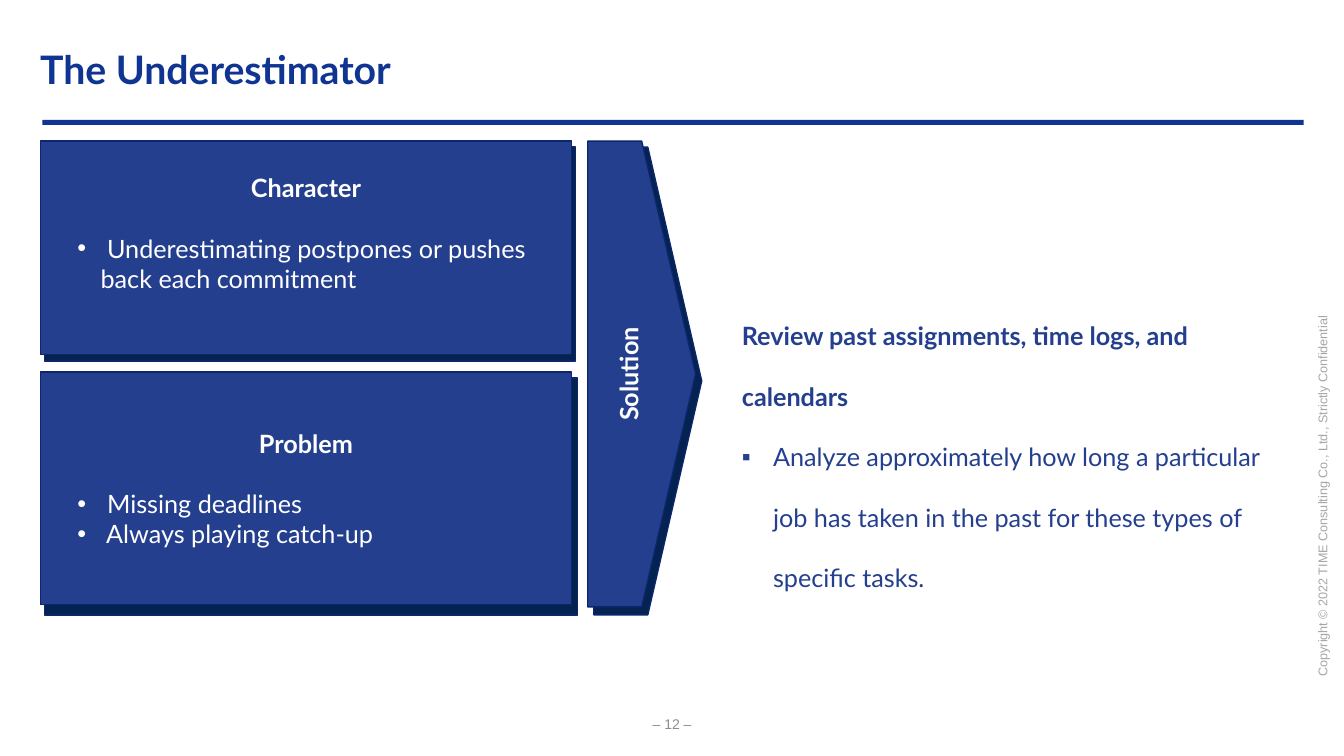
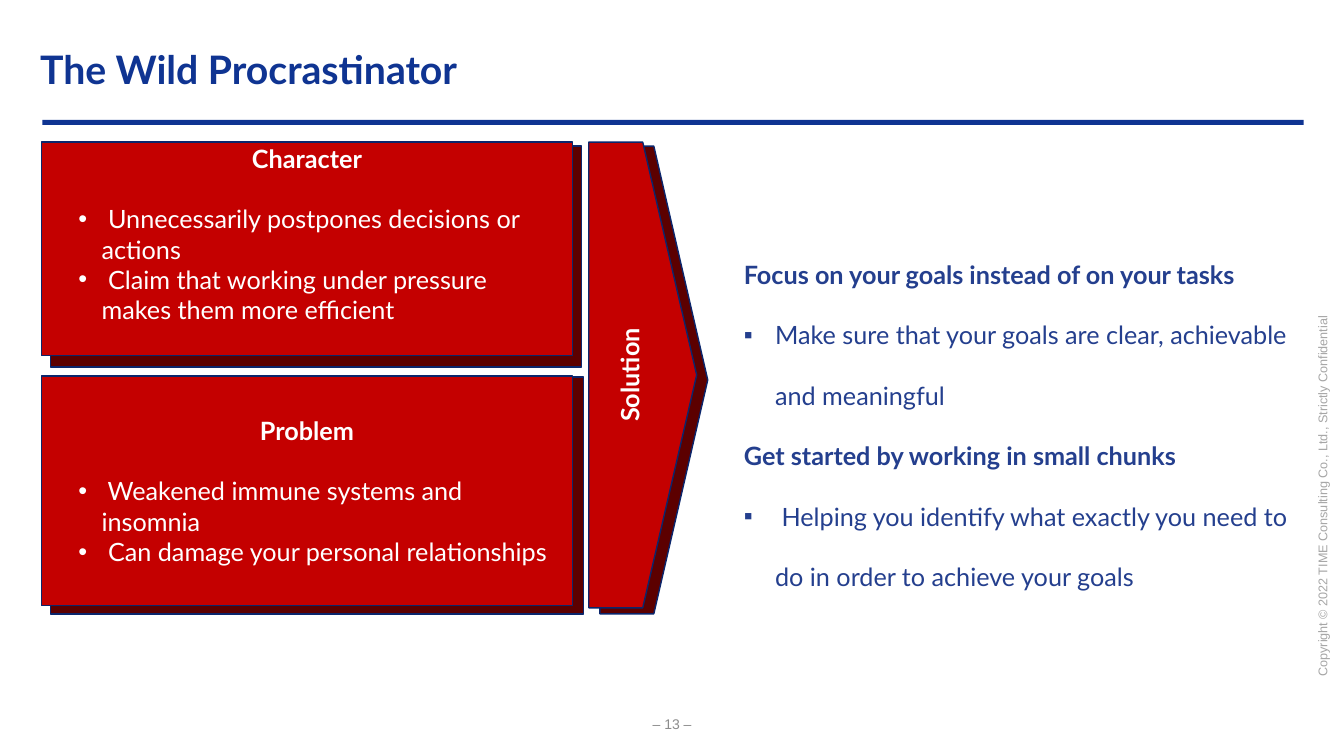
from dataclasses import dataclass

from lxml.etree import SubElement
from pptx import Presentation
from pptx.dml.color import RGBColor
from pptx.enum.shapes import MSO_SHAPE as Preset
from pptx.enum.text import MSO_ANCHOR as Anchor, MSO_AUTO_SIZE as AutoSize, PP_ALIGN as Align
from pptx.oxml.ns import qn
from pptx.util import Inches, Pt

CELL = 0.1  # inches per grid column and row
WHITE = RGBColor(0xFF, 0xFF, 0xFF)
ROYAL = RGBColor(0x0F, 0x34, 0x92)
BLUE = RGBColor(0x24, 0x3F, 0x8E)
NAVY = RGBColor(0x04, 0x23, 0x50)
OUTLINE = RGBColor(0x0B, 0x26, 0x6C)
RED = RGBColor(0xC4, 0x00, 0x00)
MAROON = RGBColor(0x5C, 0x00, 0x00)
PAGE_GREY = RGBColor(0x8C, 0x8C, 0x8C)
COPYRIGHT_GREY = RGBColor(0xA6, 0xA6, 0xA6)

BLANK_LINE = 21.6  # points: one line of 18 pt Lato
COPYRIGHT = "Copyright © 2022 TIME Consulting Co., Ltd., Strictly Confidential"


def cells(count):
    return Inches(round(count * CELL, 2))


def write(frame, content, size=18, color=WHITE, bold=False, font="Lato", align=Align.LEFT,
          spacing=None, after=None, bullet=None, margin=0, hanging=0):
    """Add one paragraph, filling the frame's empty first paragraph before adding more."""
    first = frame.paragraphs[0]
    paragraph = frame.add_paragraph() if first.runs else first
    paragraph.alignment = align
    if spacing:
        paragraph.line_spacing = spacing
    if after:
        paragraph.space_after = Pt(after)
    if bullet:
        properties = paragraph._p.get_or_add_pPr()
        properties.set("marL", str(cells(margin)))
        properties.set("indent", str(-cells(hanging)))
        tint = SubElement(properties, qn("a:buClr"))
        SubElement(tint, qn("a:srgbClr"), val=str(color))
        SubElement(properties, qn("a:buFont"), typeface="Arial")
        SubElement(properties, qn("a:buChar"), char=bullet)
    run = paragraph.add_run()
    run.text = content
    run.font.size = Pt(size)
    run.font.name = font
    run.font.bold = bold
    run.font.color.rgb = color


@dataclass
class Layer:
    """Two stacked panels and the arrow beside them, in grid cells."""
    left: float
    top: float
    character_height: float
    problem_height: float
    problem_width: float
    stack_height: float
    arrow_offset: float
    arrow_height: float
    fill: RGBColor

    def places(self):
        problem_top = self.top + self.stack_height - self.problem_height
        return (
            (Preset.RECTANGLE, (self.left, self.top, 52.7, self.character_height)),
            (Preset.RECTANGLE, (self.left, problem_top, self.problem_width, self.problem_height)),
            (Preset.PENTAGON, (self.left + self.arrow_offset, self.top, 10.7, self.arrow_height)),
        )


def back_layer(left, top, character_height, fill):
    return Layer(left, top, character_height, 23.5, 52.9, 46.4, 54.5, 46.4, fill)


def front_layer(left, top, problem_height, fill):
    return Layer(left, top, 21.2, problem_height, 52.7, 46, 54.3, 46.2, fill)


class Deck:
    def __init__(self):
        self.presentation = Presentation()
        self.presentation.slide_width = Inches(13.33)
        self.presentation.slide_height = Inches(7.5)
        self.slide = None

    def start(self, title, number):
        """Open a slide with its title, rule, page number and copyright line."""
        self.slide = self.presentation.slides.add_slide(self.presentation.slide_layouts[6])
        page = self.box((61.7, 70.8, 9.9, 2.1), Anchor.MIDDLE)
        write(page, f"– {number} –", size=10, color=PAGE_GREY, font="Arial", align=Align.CENTER)
        self.block(Preset.RECTANGLE, (4.2, 11.9, 125.1, 0.5), ROYAL)
        notice = self.box((111.4, 47.1, 39.5, 2.5), rotation=270)
        write(notice, COPYRIGHT, size=9, color=COPYRIGHT_GREY, font="Arial")
        heading = self.box((3, 1.8, 127.5, 8.6), Anchor.MIDDLE)
        heading.margin_top = cells(1.3)
        write(heading, title, size=28, color=ROYAL, bold=True, spacing=1.14)

    def box(self, place, anchor=Anchor.TOP, rotation=0, grow=False):
        shape = self.slide.shapes.add_textbox(*map(cells, place))
        shape.rotation = rotation
        frame = shape.text_frame
        frame.word_wrap = True
        frame.vertical_anchor = anchor
        if grow:
            frame.auto_size = AutoSize.SHAPE_TO_FIT_TEXT
        return frame

    def block(self, preset, place, fill, line=None):
        shape = self.slide.shapes.add_shape(preset, *map(cells, place))
        shape.shadow.inherit = False
        shape.fill.solid()
        shape.fill.fore_color.rgb = fill
        if line:
            shape.line.color.rgb = line
            shape.line.width = Pt(1)
        else:
            shape.line.fill.background()
        frame = shape.text_frame
        frame.word_wrap = True
        frame.vertical_anchor = Anchor.MIDDLE
        return frame

    def layer(self, layer):
        return [self.block(preset, place, layer.fill, OUTLINE) for preset, place in layer.places()]

    def panel(self, frame, heading, points):
        write(frame, heading, bold=True, align=Align.CENTER, after=BLANK_LINE)
        for point in points:
            write(frame, point, bullet="•", margin=5, hanging=2.3)

    def profile(self, back, front, character, problem):
        self.layer(back)
        character_panel, problem_panel, arrow = self.layer(front)
        character_panel.margin_bottom = cells(3.5)
        self.panel(character_panel, "Character", character)
        self.panel(problem_panel, "Problem", problem)
        arrow._txBody.bodyPr.set("vert", "vert270")
        write(arrow, "Solution", bold=True, align=Align.CENTER)

    def solution(self, place, advice):
        frame = self.box(place, grow=True)
        for heading, action in advice:
            write(frame, heading, color=BLUE, bold=True, spacing=2.0)
            write(frame, action, color=BLUE, spacing=2.0, bullet="▪", margin=3.1, hanging=3.1)


def main():
    deck = Deck()

    deck.start("The Underestimator", 12)
    deck.solution((72.6, 28.3, 57.3, 18.3), [
        ("Review past assignments, time logs, and calendars",
         "Analyze approximately how long a particular job has taken in the past "
         "for these types of specific tasks."),
    ])
    deck.profile(
        back_layer(4.4, 14.6, 21.2, NAVY),
        front_layer(4, 14, 23.1, BLUE),
        character=[" Underestimating postpones or pushes back each commitment"],
        problem=[" Missing deadlines", " Always playing catch-up"],
    )

    deck.start("The Wild Procrastinator", 13)
    deck.solution((72.8, 22.2, 57.3, 30.5), [
        ("Focus on your goals instead of on your tasks",
         "Make sure that your goals are clear, achievable and meaningful"),
        ("Get started by working in small chunks",
         " Helping you identify what exactly you need to do in order to achieve your goals"),
    ])
    deck.profile(
        back_layer(5, 14.5, 21.9, MAROON),
        front_layer(4.1, 14.1, 22.8, RED),
        character=[" Unnecessarily postpones decisions or actions",
                   " Claim that working under pressure makes them more efficient"],
        problem=[" Weakened immune systems and insomnia",
                 " Can damage your personal relationships"],
    )

    deck.presentation.save("out.pptx")


if __name__ == "__main__":
    main()
